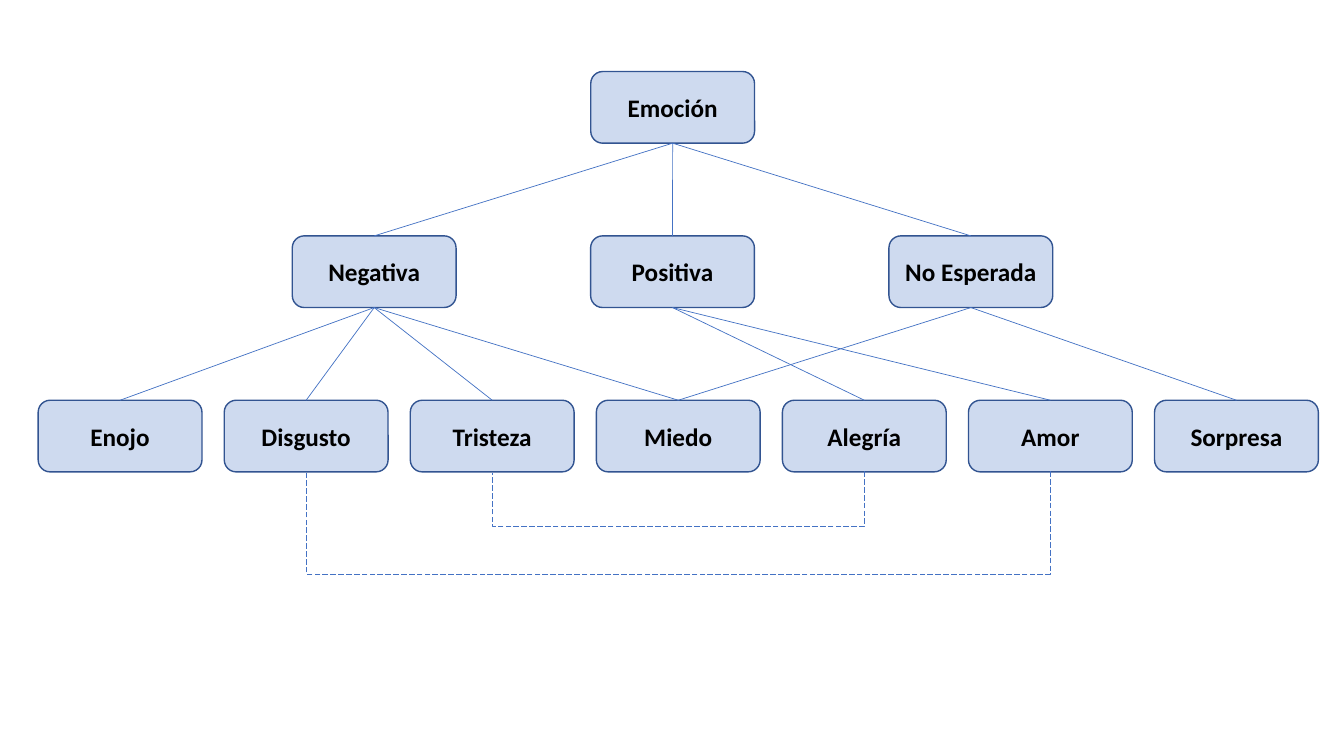
"""Build a tree of emotions, with dashed links between opposites."""
from lxml import etree
from pptx import Presentation
from pptx.dml.color import RGBColor
from pptx.enum import dml, shapes, text
from pptx.oxml import ns
from pptx.util import Pt

HUES = {"blue": "4472C4", "edge": "325491", "ink": "000000"}
WIDE, HIGH = 117, 51.2
TOP, STEP = 51.1, 117.4
ROWS = [
    (422, 0, ["Emoción"]),
    (208.8, 213.1, ["Negativa", "Positiva", "No Esperada"]),
    (27.3, 132.9, ["Enojo", "Disgusto", "Tristeza", "Miedo",
                   "Alegría", "Amor", "Sorpresa"]),
]
TREE = {
    "Emoción": ["Negativa", "Positiva", "No Esperada"],
    "Negativa": ["Enojo", "Disgusto", "Tristeza", "Miedo"],
    "Positiva": ["Alegría", "Amor"],
    "No Esperada": ["Miedo", "Sorpresa"],
}
PAIRS = [("Tristeza", "Alegría", 40), ("Disgusto", "Amor", 74)]

deck = Presentation()
deck.slide_width, deck.slide_height = Pt(960), Pt(540)
slide = deck.slides.add_slide(deck.slide_layouts[6])


def link(kind, start, base, end, site):
    line = slide.shapes.add_connector(kind, 0, 0, 0, 0)
    line.begin_connect(start, base)
    line.end_connect(end, site)
    line.line.color.rgb = RGBColor.from_string(HUES["blue"])
    line.line.width = Pt(0.5)
    etree.SubElement(line._element.spPr, ns.qn("a:effectLst"))
    return line


boxes = {}
for row, (left, pitch, names) in enumerate(ROWS):
    for col, name in enumerate(names):
        box = slide.shapes.add_shape(
            shapes.MSO_SHAPE.ROUNDED_RECTANGLE, Pt(left + col * pitch),
            Pt(TOP + row * STEP), Pt(WIDE), Pt(HIGH))
        box.shadow.inherit = False
        box.fill.solid()
        box.fill.fore_color.rgb = RGBColor.from_string(HUES["blue"])
        tint = box._element.spPr.find(".//" + ns.qn("a:srgbClr"))
        etree.SubElement(tint, ns.qn("a:alpha"), val="26000")
        box.line.color.rgb = RGBColor.from_string(HUES["edge"])
        box.line.width = Pt(1)
        frame = box.text_frame
        frame.word_wrap = True
        frame.vertical_anchor = text.MSO_ANCHOR.MIDDLE
        para = frame.paragraphs[0]
        para.alignment = text.PP_ALIGN.CENTER
        run = para.add_run()
        run.text = name
        run.font.name, run.font.size, run.font.bold = "Calibri", Pt(18), True
        run.font.color.rgb = RGBColor.from_string(HUES["ink"])
        boxes[name] = box

for head, kids in TREE.items():
    for kid in kids:
        link(shapes.MSO_CONNECTOR.STRAIGHT, boxes[head], 2, boxes[kid], 0)

for west, east, depth in PAIRS:
    bend = link(shapes.MSO_CONNECTOR.ELBOW, boxes[east], 2, boxes[west], 2)
    bend.line.dash_style = dml.MSO_LINE.LONG_DASH
    span = boxes[east].left - boxes[west].left
    mid = boxes[west].left + (span + boxes[west].width) // 2
    base = boxes[west].top + boxes[west].height
    bend.left, bend.top = mid - Pt(0.5), base - span // 2
    bend.width, bend.height = Pt(1), span
    frame = bend._element.spPr.find(ns.qn("a:xfrm"))
    frame.attrib.clear()
    frame.set("rot", "5400000")
    guides = bend._element.spPr.find(ns.qn("a:prstGeom")).find(ns.qn("a:avLst"))
    etree.SubElement(guides, ns.qn("a:gd"), name="adj1",
                     fmla=f"val {depth * 100000}")

deck.save("out.pptx")
